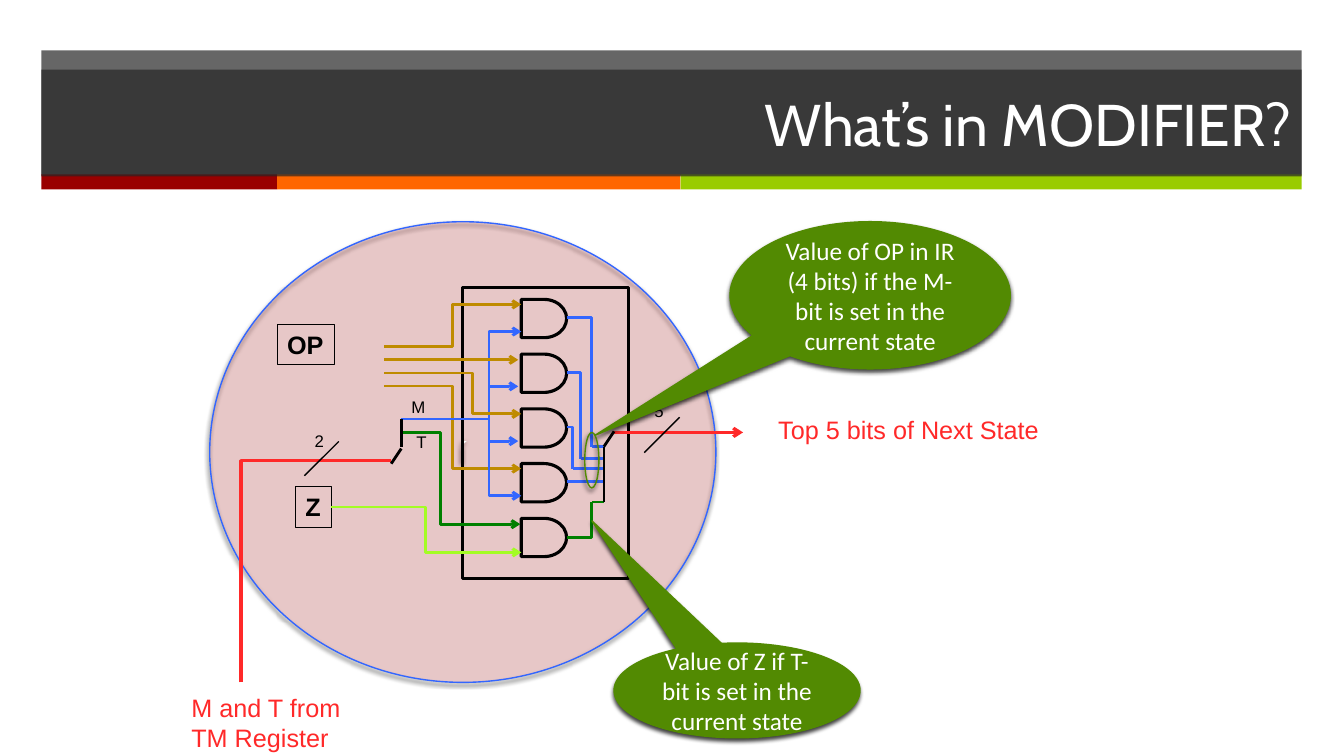
from dataclasses import dataclass
from typing import Any

from lxml import etree
from pptx import Presentation
from pptx.dml.color import RGBColor
from pptx.enum.shapes import MSO_CONNECTOR as Link, MSO_SHAPE as Kind
from pptx.enum.text import MSO_ANCHOR as Anchor, PP_ALIGN as Align
from pptx.oxml.ns import qn
from pptx.util import Inches, Pt

RED, BLUE, GOLD = "FF2929", "3366FF", "BF8B00"
GREEN, LIME, LEAF = "008000", "A3FC24", "528A02"
BLACK, WHITE, DARK = "000000", "FFFFFF", "262626"
PITCH = 0.543  # from one gate to the next


def color(code):
    return RGBColor.from_string(code)


def node(parent, tag, **attrs):
    return etree.SubElement(parent, qn(tag), attrs)


def write(shape, text, size=18, font="Arial", ink=BLACK, bold=False,
          align=Align.LEFT, anchor=Anchor.TOP, wrap=True, inset=None):
    frame = shape.text_frame
    frame.word_wrap = wrap
    frame.vertical_anchor = anchor
    if inset is not None:
        frame.margin_left = frame.margin_right = Inches(inset)
        frame.margin_top = frame.margin_bottom = Inches(inset)
    para = frame.paragraphs[0]
    para.alignment = align
    run = para.add_run()
    run.text = text
    run.font.size, run.font.name, run.font.bold = Pt(size), font, bold
    run.font.color.rgb = color(ink)


def shade(shape):
    effects = shape._element.spPr.find(qn("a:effectLst"))
    outer = node(effects, "a:outerShdw", blurRad=str(Pt(3)), dist=str(Pt(2)),
                 dir=str(110 * 60000), rotWithShape="0")
    tint = node(outer, "a:srgbClr", val=BLACK)
    node(tint, "a:alpha", val="75000")


@dataclass
class Area:
    """A box on the slide; its parts are placed from the top left corner."""
    slide: Any
    x: float
    y: float
    w: float
    h: float

    def spot(self, x, y):
        return Inches(self.x + x), Inches(self.y + y)

    def shape(self, kind, x, y, w, h, fill=None, line=None, width=1,
              alpha=None, shadow=False):
        item = self.slide.shapes.add_shape(
            kind, *self.spot(x, y), Inches(w), Inches(h))
        item.shadow.inherit = False
        if fill:
            item.fill.solid()
            item.fill.fore_color.rgb = color(fill)
            if alpha:
                tint = item.fill._xPr.find(qn("a:solidFill"))[0]
                node(tint, "a:alpha", val=str(alpha * 1000))
        else:
            item.fill.background()
        if line:
            item.line.color.rgb = color(line)
            item.line.width = Pt(width)
        else:
            item.line.fill.background()
        if shadow:
            shade(item)
        return item

    def text(self, x, y, w, h, text, **form):
        box = self.slide.shapes.add_textbox(
            *self.spot(x, y), Inches(w), Inches(h))
        write(box, text, **form)

    def wire(self, start, end, ink, width=2.0, arrow=False, bend=None):
        """Straight line, or an elbow that turns at x = bend."""
        kind = Link.STRAIGHT if bend is None else Link.ELBOW
        item = self.slide.shapes.add_connector(
            kind, *self.spot(*start), *self.spot(*end))
        item.line.color.rgb = color(ink)
        item.line.width = Pt(width)
        props = item._element.spPr
        if bend is not None:
            part = (bend - start[0]) / (end[0] - start[0])
            guides = props.find(qn("a:prstGeom")).get_or_add_avLst()
            node(guides, "a:gd", name="adj1", fmla=f"val {round(part * 100000)}")
        if arrow:
            node(props.find(qn("a:ln")), "a:tailEnd", type="arrow")
        node(props, "a:effectLst")


def banner(area):
    area.shape(Kind.RECTANGLE, 0, 0, area.w, 1.24, fill=DARK, alpha=70)
    x = 0
    for w, fill in ((2.34, "990000"), (4, "FF6600"), (6.16, "99CC00")):
        area.shape(Kind.RECTANGLE, x, 1.23, w, 0.15, fill=fill)
        x += w
    title = area.shape(Kind.RECTANGLE, 0, 0.19, area.w, 1.06, fill=DARK, alpha=70)
    write(title, "What’s in MODIFIER?", size=42, font="Cabin", ink=WHITE,
          align=Align.RIGHT, anchor=Anchor.MIDDLE)


def circuit(area):
    disc = area.shape(Kind.OVAL, 0, 0, area.w, area.h, fill=RED, alpha=15,
                      line=BLUE, shadow=True)
    write(disc, "Í", font="Calibri", ink=WHITE, align=Align.CENTER,
          anchor=Anchor.MIDDLE)
    area.shape(Kind.RECTANGLE, 2.51, 0.65, 1.64, 2.89, line=BLACK, width=2)

    # Sources and small labels
    for x, y, w, name in ((0.67, 1.02, 0.57, "OP"), (0.85, 2.63, 0.36, "Z")):
        box = area.shape(Kind.RECTANGLE, x, y, w, 0.4, line=BLACK, width=0.75)
        write(box, name, bold=True, wrap=False)
    for x, y, name in ((1.04, 2.07, "2"), (2.05, 2.08, "T"),
                       (2, 1.74, "M"), (4.41, 1.78, "5")):
        area.text(x, y, 0.19, 0.2, name, size=12, wrap=False, inset=0)

    # Gates
    for i in range(5):
        area.shape(Kind.FLOWCHART_DELAY, 3.09, 0.77 + PITCH * i, 0.45, 0.38,
                   line=BLACK, width=2.25)

    # OP bits and the M bit into the first four gates
    for i, bend in enumerate((2.41, None, 2.61, 2.41)):
        start, end = (1.73, 1.24 + 0.13 * i), (3.09, 0.82 + PITCH * i)
        if bend is None:
            area.wire(start, (2.65, start[1]), GOLD, 2.25)
            start, end = (2.65, start[1]), (3.06, start[1])
        area.wire(start, end, GOLD, arrow=True, bend=bend)
        y = 1.09 + PITCH * i
        if i in (0, 3):
            area.wire((2.77, 1.96), (3.09, y), BLUE, arrow=True, bend=2.77)
        else:
            area.wire((2.77, y), (3.06, y), BLUE, arrow=True)
    area.wire((1.9, 1.96), (2.77, 1.96), BLUE, 1.5)

    # T and Z into the last gate
    area.wire((1.9, 2.09), (3.08, 3), GREEN, arrow=True, bend=2.29)
    area.wire((1.2, 2.83), (3.09, 3.28), LIME, arrow=True, bend=2.14)

    # Gate outputs to the collector
    for i, (x, y) in enumerate(((3.79, 2.23), (3.68, 2.35), (3.6, 2.45))):
        area.wire((3.54, 0.95 + PITCH * i), (x, y), BLUE, bend=x)
        area.wire((x, y), (3.91, y), BLUE)
    area.wire((3.54, 2.58), (3.91, 2.58), BLUE)
    area.wire((3.54, 3.13), (3.79, 2.78), GREEN, bend=3.79)
    area.wire((3.79, 2.78), (3.91, 2.78), GREEN)

    # Buses in and out
    area.wire((0.31, 4.57), (1.8, 2.37), RED, 2.25, bend=0.31)
    area.wire((4.01, 2.09), (5.29, 2.09), RED, 2.25, arrow=True)
    for start, end, width in (
            ((1.28, 2.18), (0.94, 2.52), 1), ((4.66, 1.94), (4.31, 2.29), 1),
            ((1.9, 1.96), (1.9, 2.23), 2), ((1.9, 2.25), (1.8, 2.4), 2),
            ((3.91, 2.78), (3.91, 2.23), 2), ((3.91, 2.23), (4.01, 2.08), 2)):
        area.wire(start, end, BLACK, width)


def callout(area, text, tip):
    bubble = area.shape(Kind.OVAL_CALLOUT, 0, 0, area.w, area.h, fill=LEAF,
                        line=LEAF, shadow=True)
    bubble.adjustments[0], bubble.adjustments[1] = tip
    write(bubble, text, font="Calibri", ink=WHITE, align=Align.CENTER,
          anchor=Anchor.MIDDLE)


def note(area, text):
    area.text(0, 0, area.w, area.h, text, ink=RED)


def main():
    deck = Presentation()
    deck.slide_width, deck.slide_height = Inches(13.33), Inches(7.5)
    slide = deck.slides.add_slide(deck.slide_layouts[6])
    banner(Area(slide, 0.41, 0.5, 12.5, 1.38))
    circuit(Area(slide, 2.08, 2.2, 5.02, 4.57))
    note(Area(slide, 7.62, 4.06, 4.12, 0.4), "Top 5 bits of Next State")
    note(Area(slide, 1.8, 6.82, 1.8, 0.71), "M and T from TM Register")
    callout(Area(slide, 6.09, 6.38, 2.44, 0.94),
            "Value of Z if T-bit is set in the current state", (-0.59, -1.79))
    callout(Area(slide, 7.24, 2.2, 2.78, 1.46),
            "Value of OP in IR (4 bits) if the M-bit is set in the current state",
            (-0.98, 0.95))
    # Ring around the collected bits
    ring = Area(slide, 5.8, 4.29, 0.14, 0.55)
    ring.shape(Kind.OVAL, 0, 0, ring.w, ring.h, line=LEAF, shadow=True)
    deck.save("out.pptx")


if __name__ == "__main__":
    main()
